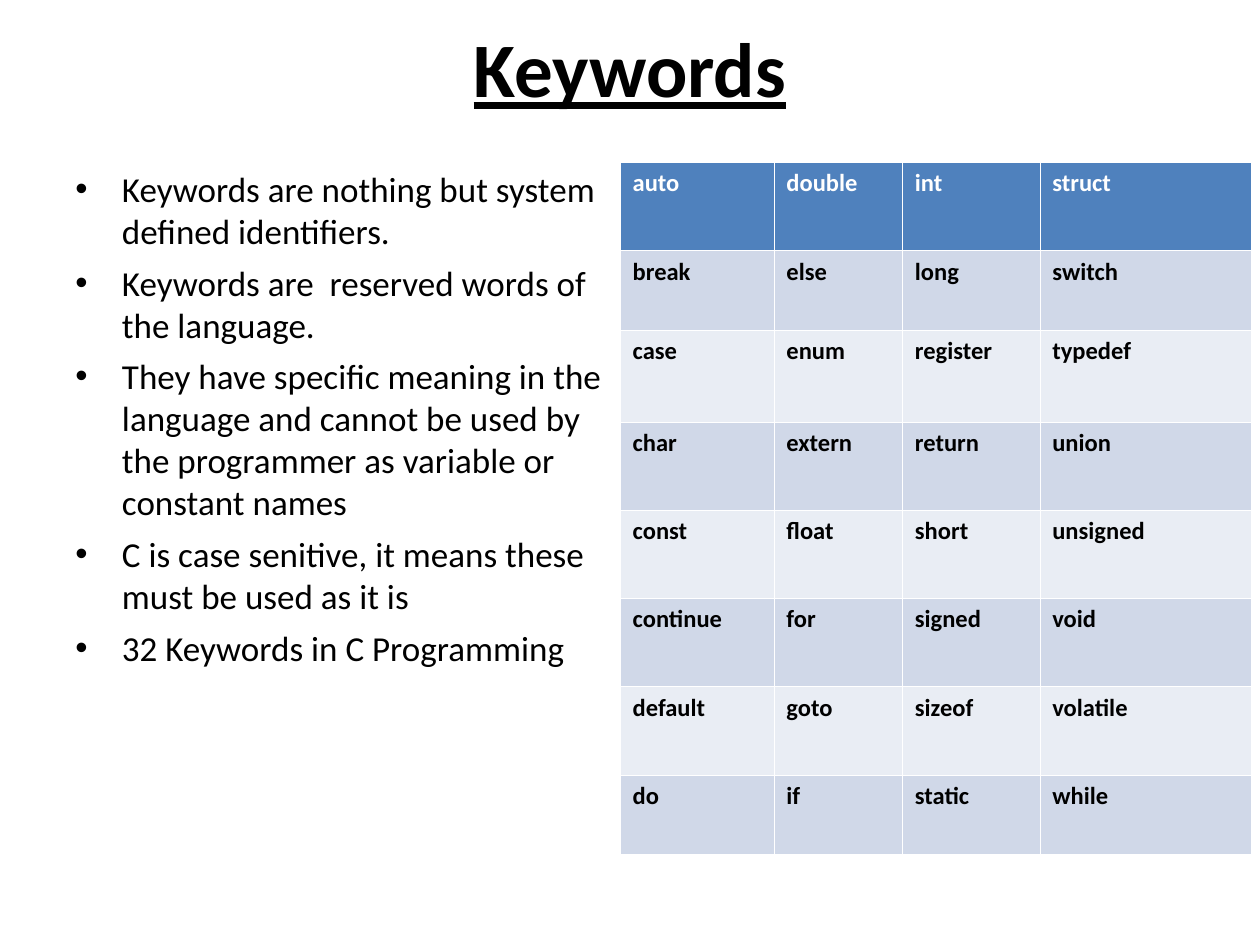
from lxml.etree import SubElement
from pptx import Presentation
from pptx.dml.color import RGBColor
from pptx.enum.text import MSO_ANCHOR, PP_ALIGN
from pptx.oxml.ns import qn
from pptx.util import Cm, Pt

BLACK = RGBColor(0x00, 0x00, 0x00)
WHITE = RGBColor(0xFF, 0xFF, 0xFF)
BLUE = RGBColor(0x4F, 0x81, 0xBD)
BANDS = (RGBColor(0xD0, 0xD8, 0xE8), RGBColor(0xE9, 0xED, 0xF4))
FONT = "Calibri"

POINTS = (
    "Keywords are nothing but system defined identifiers.",
    "Keywords are  reserved words of the language.",
    "They have specific meaning in the language and cannot be used by "
    "the programmer as variable or constant names",
    "C is case senitive, it means these must be used as it is",
    "32 Keywords in C Programming",
)
WORDS = (
    "auto double int struct",
    "break else long switch",
    "case enum register typedef",
    "char extern return union",
    "const float short unsigned",
    "continue for signed void",
    "default goto sizeof volatile",
    "do if static while",
)
WIDTHS = (3.1, 2.59, 2.77, 4.27)
HEIGHTS = (1.78, 1.6, 1.85, 1.78, 1.78, 1.78, 1.78, 1.6)


def style(para, size, color, bold=False, under=False):
    for run in para.runs:
        font = run.font
        font.name, font.size = FONT, Pt(size)
        font.bold, font.underline = bold, under
        font.color.rgb = color


def add_title(slide, box):
    title = slide.shapes.title
    title.left, title.top, title.width, title.height = map(Cm, box)
    frame = title.text_frame
    frame.text = "Keywords"
    frame.vertical_anchor = MSO_ANCHOR.MIDDLE
    para = frame.paragraphs[0]
    para.alignment = PP_ALIGN.CENTER
    style(para, 44, BLACK, bold=True, under=True)


def add_bullet(para, indent):
    props = para._p.get_or_add_pPr()
    props.set("marL", str(indent))
    props.set("indent", str(-indent))
    SubElement(props, qn("a:buFont"), typeface="Arial")
    SubElement(props, qn("a:buChar"), char="•")


def add_points(slide, box):
    frame = slide.shapes.add_textbox(*map(Cm, box)).text_frame
    frame.word_wrap = True
    frame.text = "\n".join(POINTS)
    for para in frame.paragraphs:
        para.space_before = Pt(5.5)
        add_bullet(para, Cm(0.94))
        style(para, 20, BLACK)


def add_border(cell, side, width):
    line = SubElement(cell._tc.get_or_add_tcPr(), qn(f"a:{side}"), w=str(Pt(width)))
    fill = SubElement(line, qn("a:solidFill"))
    SubElement(fill, qn("a:srgbClr"), val=str(WHITE))


def fill_cell(cell, word, row):
    head = row == 0
    for side in ("lnL", "lnR", "lnT", "lnB"):
        thick = (row, side) in ((0, "lnB"), (1, "lnT"))
        add_border(cell, side, 0.34 if thick else 0.11)
    cell.fill.solid()
    cell.fill.fore_color.rgb = BLUE if head else BANDS[(row - 1) % 2]
    cell.text_frame.text = word
    para = cell.text_frame.paragraphs[0]
    para.line_spacing = 0.98
    para.space_before = Pt(4.5)
    style(para, 14, WHITE if head else BLACK, bold=True)


def add_words(slide, left, top):
    size = (sum(WIDTHS), sum(HEIGHTS))
    table = slide.shapes.add_table(
        len(HEIGHTS), len(WIDTHS), *map(Cm, (left, top, *size))
    ).table
    for col, width in zip(table.columns, WIDTHS):
        col.width = Cm(width)
    for row, height in zip(table.rows, HEIGHTS):
        row.height = Cm(height)
    for r, line in enumerate(WORDS):
        for c, word in enumerate(line.split()):
            fill_cell(table.cell(r, c), word, r)


def main():
    deck = Presentation()
    deck.slide_width, deck.slide_height = Cm(25.4), Cm(19.05)
    slide = deck.slides.add_slide(deck.slide_layouts[5])
    add_title(slide, (1.27, 0.53, 22.86, 1.63))
    add_points(slide, (1.27, 3.25, 11.23, 13.77))
    add_words(slide, 12.5, 3.27)
    deck.save("out.pptx")


if __name__ == "__main__":
    main()
